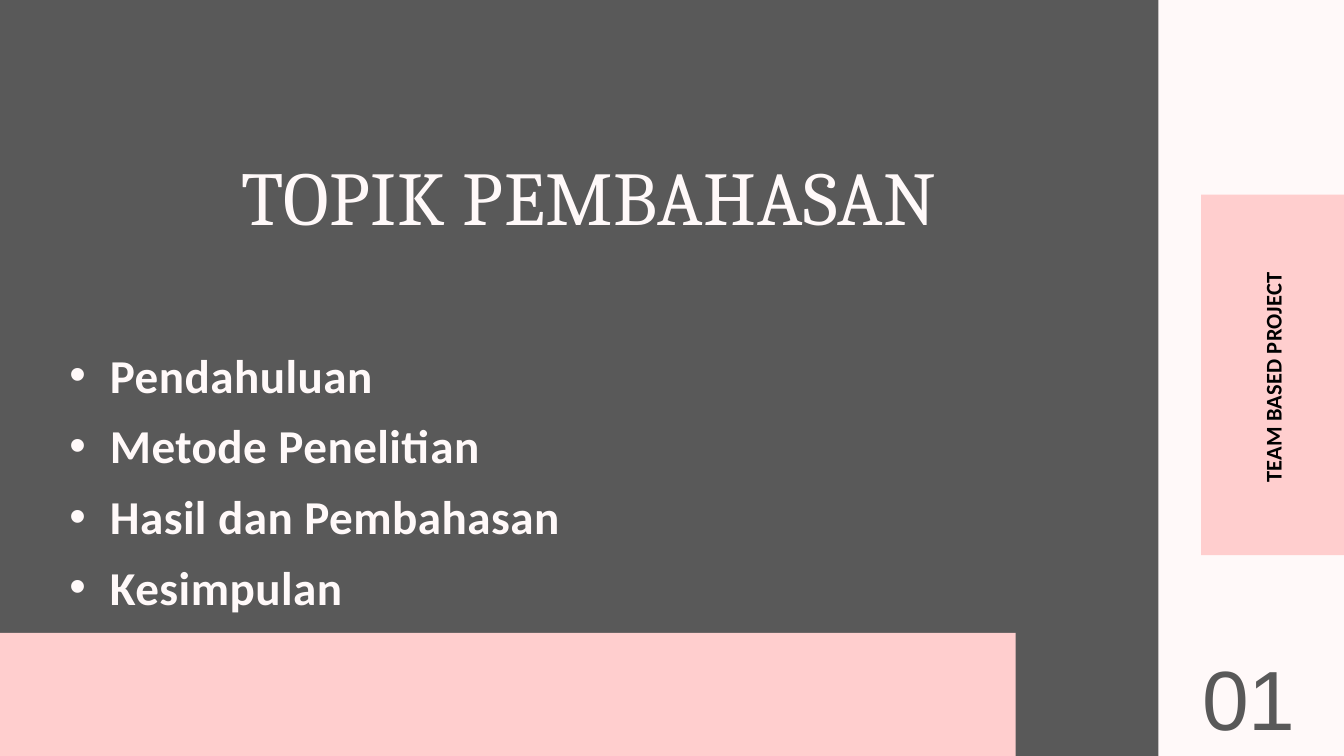
from pptx import Presentation
from pptx.dml.color import RGBColor
from pptx.enum.shapes import MSO_SHAPE
from pptx.enum.text import MSO_ANCHOR, MSO_AUTO_SIZE, PP_ALIGN
from pptx.util import Pt

EMU_PER_PX = 9525
COLOURS = {"paper": "FFF9F9", "slate": "595959", "pink": "FFCECE", "ink": "000000"}
TOPICS = ["Pendahuluan", "Metode Penelitian", "Hasil dan Pembahasan", "Kesimpulan"]


def px(length):
    """Turn whole pixels into EMU."""
    return length * EMU_PER_PX


def apply_format(target, values):
    """Set every attribute named in values on target."""
    for name, value in values.items():
        setattr(target, name, value)


def place(element, box):
    """Give element its left, top, width and height in px."""
    apply_format(element, dict(zip(("left", "top", "width", "height"), map(px, box))))


def paint(fill, colour):
    """Fill with one solid named colour."""
    fill.solid()
    fill.fore_color.rgb = RGBColor.from_string(COLOURS[colour])


def add_panel(slide, box, colour):
    """Add a plain rectangle without outline or shadow."""
    panel = slide.shapes.add_shape(MSO_SHAPE.RECTANGLE, *map(px, box))
    panel.shadow.inherit = False
    paint(panel.fill, colour)
    panel.line.fill.background()


def write(holder, lines, colour, font, paragraph, tracking=0, inset=0, anchor=MSO_ANCHOR.TOP):
    """Write one formatted paragraph for each line."""
    frame = holder.text_frame
    margins = dict.fromkeys(("margin_left", "margin_top", "margin_right", "margin_bottom"), px(inset))
    apply_format(frame, {**margins, "word_wrap": True, "auto_size": MSO_AUTO_SIZE.NONE,
                         "vertical_anchor": anchor})
    frame.text = "\n".join(lines)
    for entry in frame.paragraphs:
        apply_format(entry, {"space_before": Pt(0), **paragraph})
        for run in entry.runs:
            apply_format(run.font, font)
            run.font.color.rgb = RGBColor.from_string(COLOURS[colour])
            run.font._element.set("spc", str(tracking))


def raise_placeholder(placeholder, box):
    """Bring a template placeholder to the front and position it."""
    place(placeholder, box)
    placeholder.element.getparent().append(placeholder.element)
    return placeholder


def add_heading(slide):
    """Fill the title placeholder."""
    heading = raise_placeholder(slide.shapes.title, (73, 203, 1538, 141))
    write(heading, ["TOPIK PEMBAHASAN"], "paper",
          {"name": "Cambria", "size": Pt(81.4), "bold": False},
          {"alignment": PP_ALIGN.CENTER, "line_spacing": Pt(105.8)}, tracking=80)


def add_topics(slide):
    """Fill the body placeholder with the bulleted topics."""
    topics = raise_placeholder(slide.placeholders[1], (43, 474, 1538, 405))
    write(topics, TOPICS, "paper",
          {"name": "Calibri", "size": Pt(50.5), "bold": True},
          {"alignment": PP_ALIGN.LEFT, "line_spacing": Pt(75.8)}, tracking=50)
    for topic in topics.text_frame.paragraphs:
        properties = topic._p.get_or_add_pPr()
        properties.set("marL", str(px(114)))
        properties.set("indent", str(px(-58)))


def add_project_label(slide):
    """Add the label that reads upwards on the side tab."""
    label = slide.shapes.add_textbox(*map(px, (1584, 517, 462, 45)))
    label.rotation = 270
    write(label, ["TEAM BASED PROJECT"], "ink",
          {"name": "Calibri", "size": Pt(24), "bold": True},
          {"alignment": PP_ALIGN.CENTER, "line_spacing": Pt(33.6)}, tracking=20)


def add_page_number(slide):
    """Add the large number in the lower right corner."""
    number = slide.shapes.add_textbox(*map(px, (1695, 964, 178, 115)))
    write(number, ["01"], "slate", {"name": "Arial", "size": Pt(90)},
          {"alignment": PP_ALIGN.CENTER, "line_spacing": 0.9},
          inset=10, anchor=MSO_ANCHOR.BOTTOM)


def main():
    """Build the topic slide and save it."""
    deck = Presentation()
    apply_format(deck, {"slide_width": px(1920), "slide_height": px(1080)})
    slide = deck.slides.add_slide(deck.slide_layouts[1])
    paint(slide.background.fill, "paper")
    add_panel(slide, (-41, -28, 1696, 1136), "slate")
    add_panel(slide, (1716, 278, 204, 515), "pink")
    add_heading(slide)
    add_topics(slide)
    add_project_label(slide)
    add_panel(slide, (-41, 904, 1492, 259), "pink")
    add_page_number(slide)
    deck.save("out.pptx")


if __name__ == "__main__":
    main()
